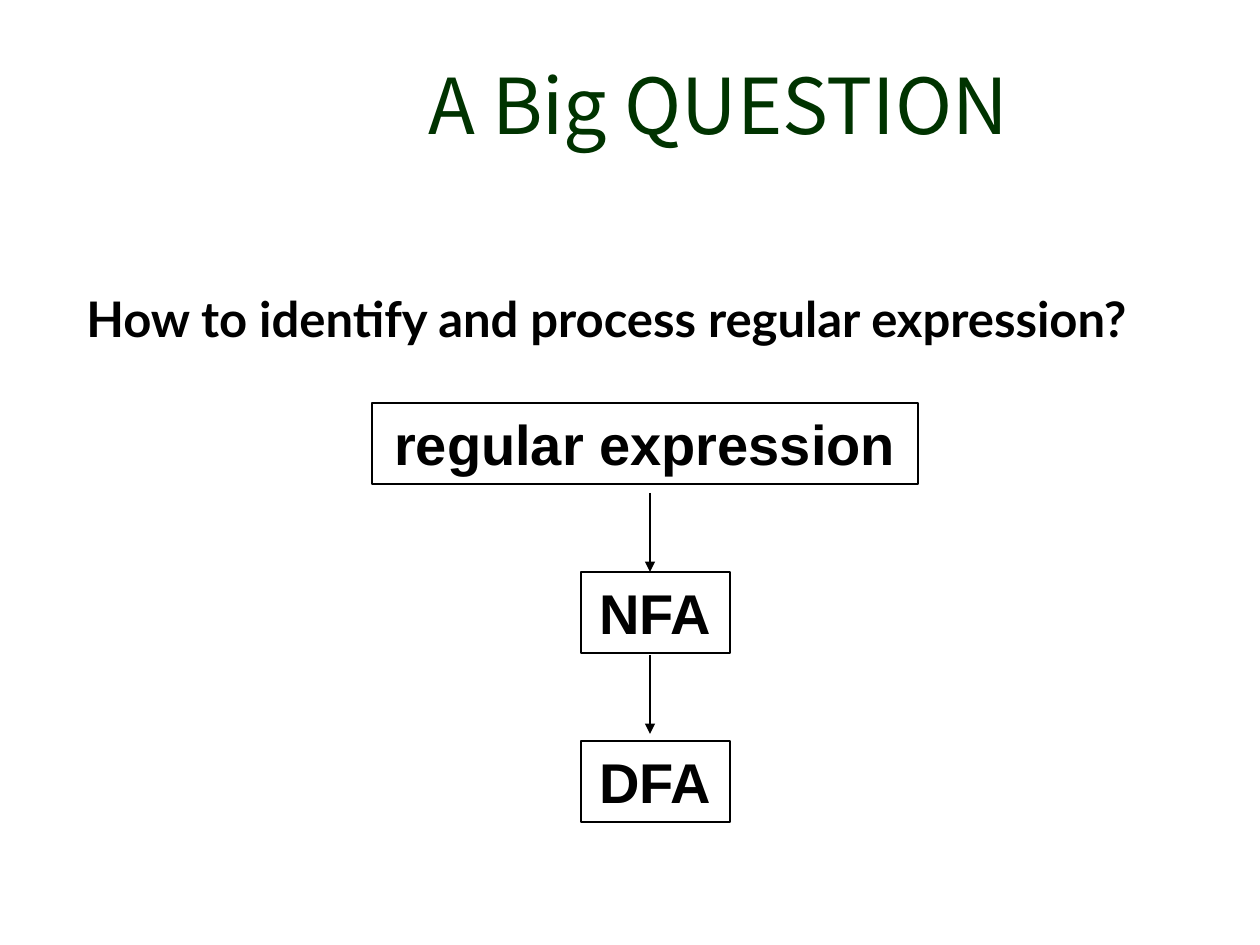
from dataclasses import dataclass

from lxml import etree
from pptx import Presentation
from pptx.dml.color import RGBColor
from pptx.enum.shapes import MSO_CONNECTOR, MSO_SHAPE
from pptx.enum.text import MSO_ANCHOR, PP_ALIGN
from pptx.oxml.ns import qn
from pptx.util import Emu, Pt

RECTANGLE = MSO_SHAPE.RECTANGLE
STRAIGHT = MSO_CONNECTOR.STRAIGHT
MIDDLE, TOP = MSO_ANCHOR.MIDDLE, MSO_ANCHOR.TOP
CENTER, LEFT = PP_ALIGN.CENTER, PP_ALIGN.LEFT

EMU_PER_PX = 914400 / 126
COLORS = {"title": "003300", "ink": "000000"}
TITLE_ONLY = 5
LINE_WIDTH = Pt(0.75)

# Vertical flow of stages
FIRST_TOP, STAGE_STEP, STAGE_HEIGHT = 403, 169, 81
ARROW_X, ARROW_LENGTH = 650, 79


@dataclass
class Stage:
    label: str
    left: int
    width: int


@dataclass
class TextRun:
    text: str
    size: int
    font: str
    color: str = "ink"
    bold: bool = True


STAGES = [
    Stage("regular expression", 372, 546),
    Stage("NFA", 581, 149),
    Stage("DFA", 581, 149),
]
ARROW_TOPS = [493, 655]


def px(length: int) -> Emu:
    return Emu(round(length * EMU_PER_PX))


def color(name: str) -> RGBColor:
    return RGBColor.from_string(COLORS[name])


def write(frame, runs: list[TextRun], align, anchor) -> None:
    frame.word_wrap = True
    frame.vertical_anchor = anchor
    paragraph = frame.paragraphs[0]
    paragraph.alignment = align
    for item in runs:
        run = paragraph.add_run()
        run.text = item.text
        run.font.size = Pt(item.size)
        run.font.name = item.font
        run.font.bold = item.bold
        run.font.color.rgb = color(item.color)


def draw_stage(slide, stage: Stage, top: int) -> None:
    box = slide.shapes.add_shape(
        RECTANGLE, px(stage.left), px(top), px(stage.width), px(STAGE_HEIGHT))
    box.shadow.inherit = False
    box.fill.background()
    box.line.color.rgb = color("ink")
    box.line.width = LINE_WIDTH
    write(box.text_frame, [TextRun(stage.label, 32, "Arial")], CENTER, MIDDLE)


def draw_arrow(slide, top: int) -> None:
    arrow = slide.shapes.add_connector(
        STRAIGHT, px(ARROW_X), px(top), px(ARROW_X), px(top + ARROW_LENGTH))
    arrow.line.color.rgb = color("ink")
    arrow.line.width = LINE_WIDTH
    properties = arrow.line._get_or_add_ln()
    etree.SubElement(properties, qn("a:tailEnd"), type="triangle")
    etree.SubElement(arrow._element.spPr, qn("a:effectLst"))


def main() -> None:
    deck = Presentation()
    deck.slide_width, deck.slide_height = px(1260), px(945)
    slide = deck.slides.add_slide(deck.slide_layouts[TITLE_ONLY])

    # Title
    title = slide.shapes.title
    title.left, title.top, title.width, title.height = map(px, (236, 39, 965, 129))
    heading = TextRun("A Big QUESTION", 44, "Noto Sans CJK SC", "title", False)
    write(title.text_frame, [heading], CENTER, MIDDLE)

    # Question; the larger closing space sets the line height
    question = slide.shapes.add_textbox(*map(px, (74, 275, 1186, 246)))
    write(question.text_frame, [
        TextRun("How to identify and process regular expression?", 28, "Lato"),
        TextRun(" ", 32, "Lato"),
    ], LEFT, TOP)

    # Stages and the arrows between them
    for index, stage in enumerate(STAGES):
        draw_stage(slide, stage, FIRST_TOP + index * STAGE_STEP)
    for top in ARROW_TOPS:
        draw_arrow(slide, top)

    deck.save("out.pptx")


if __name__ == "__main__":
    main()
